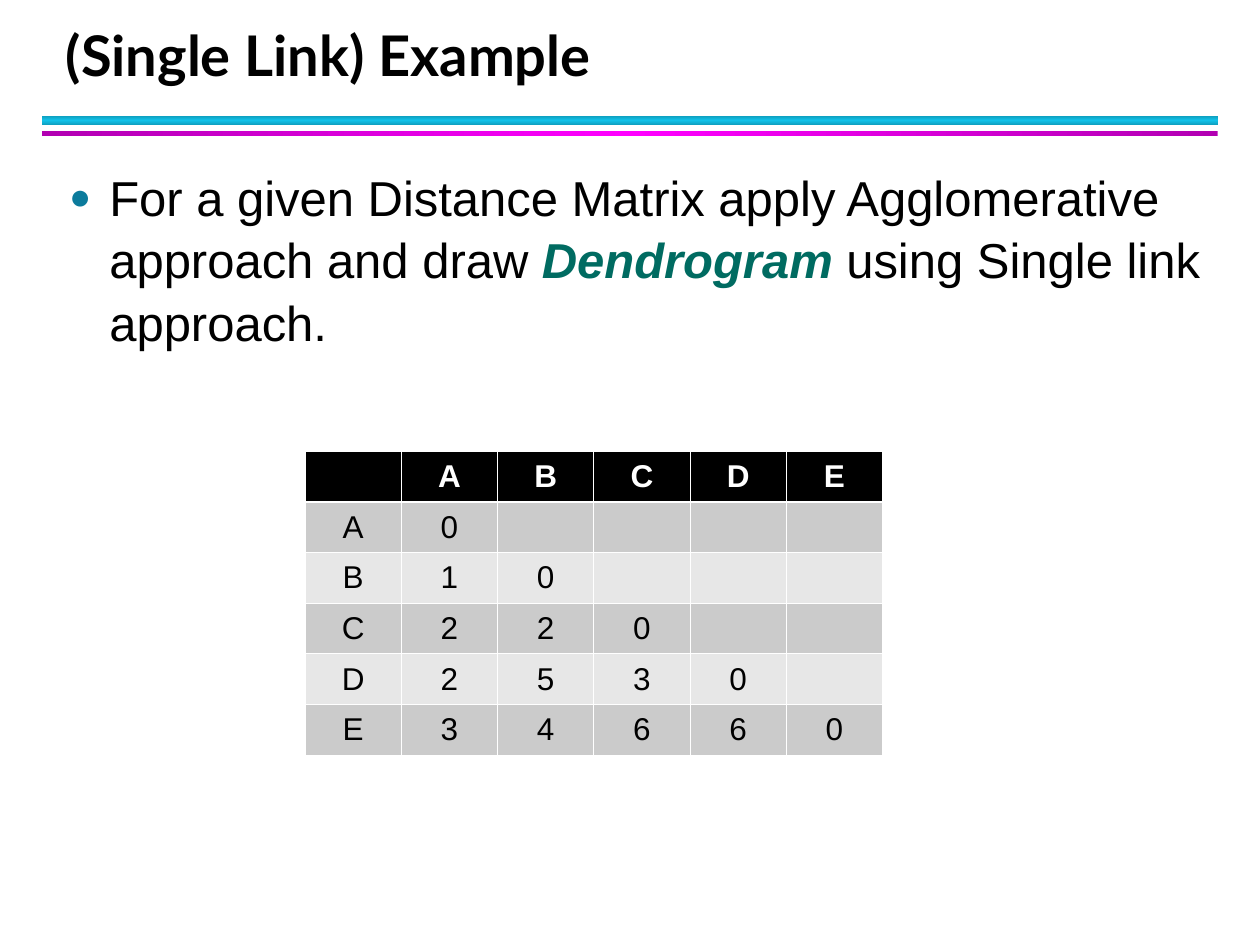
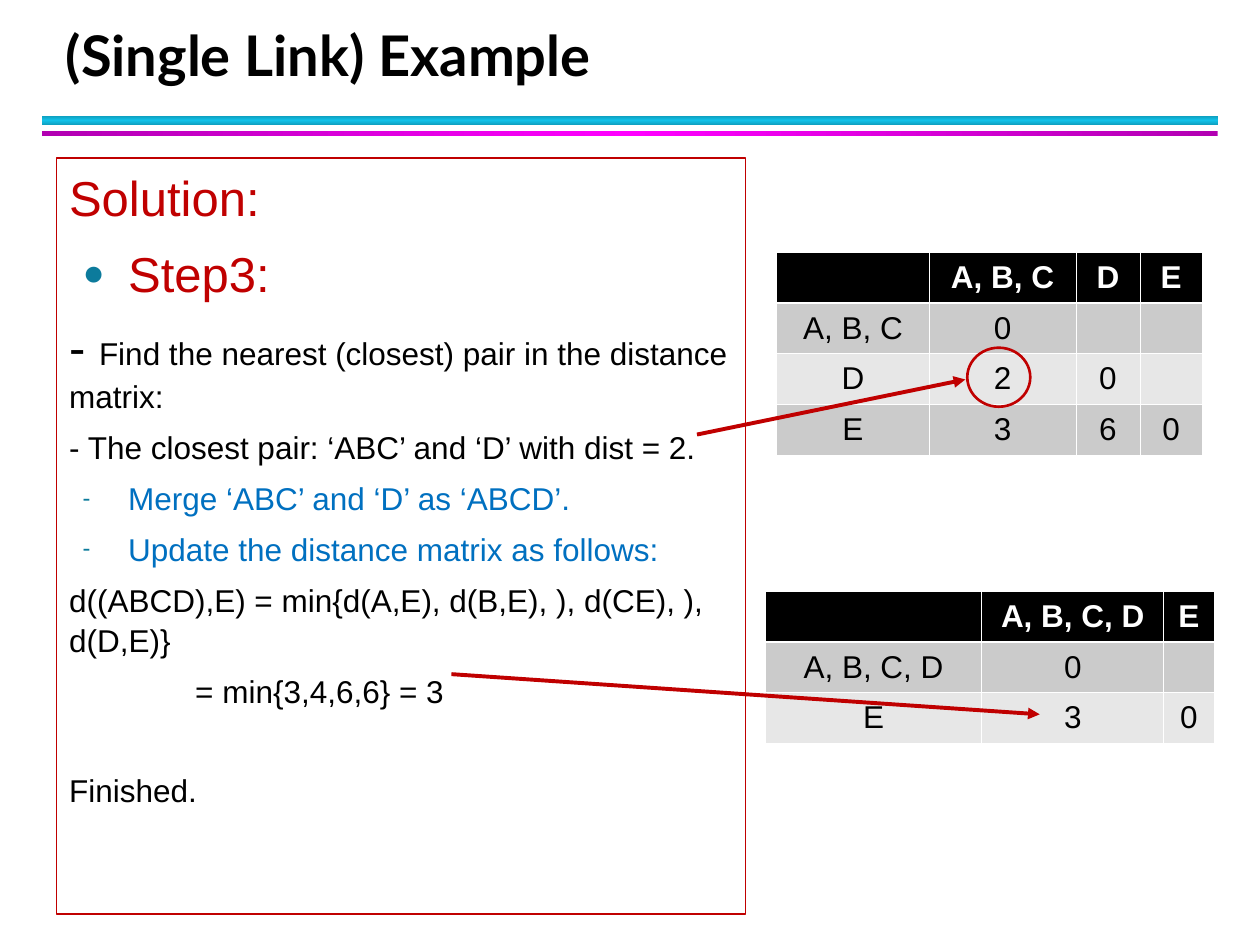
from copy import deepcopy

from lxml import etree
from pptx import Presentation
from pptx.dml.color import RGBColor
from pptx.enum.shapes import MSO_CONNECTOR, MSO_SHAPE
from pptx.enum.text import MSO_ANCHOR, MSO_AUTO_SIZE, PP_ALIGN
from pptx.oxml.ns import qn
from pptx.util import Cm, Pt

RECT, OVAL = MSO_SHAPE.RECTANGLE, MSO_SHAPE.OVAL
STRAIGHT = MSO_CONNECTOR.STRAIGHT
TOP, MIDDLE, BOTTOM = MSO_ANCHOR.TOP, MSO_ANCHOR.MIDDLE, MSO_ANCHOR.BOTTOM
LEFT, CENTER = PP_ALIGN.LEFT, PP_ALIGN.CENTER
NO_FIT = MSO_AUTO_SIZE.NONE

HUES = {
    "black": "000000", "white": "FFFFFF", "red": "C00000", "blue": "0070C0",
    "green": "006B61", "bullet": "0C7B9C", "odd": "CBCBCB", "even": "E7E7E7",
    "teal": "0E9BBA", "cyan": "12C2E9", "plum": "B200B2", "pink": "FF00FF",
}
TITLE = "(Single Link) Example"
ROW = 1.02


def hue(name):
    return RGBColor.from_string(HUES[name])


def style(font, size, color, bold=False, face="Arial"):
    font.name, font.size, font.bold = face, Pt(size), bold
    font.color.rgb = hue(color)


def place(shape, left, top, width, height):
    shape.left, shape.top = Cm(left), Cm(top)
    shape.width, shape.height = Cm(width), Cm(height)


def add_band(slide, top, height, edge, core, angle):
    band = slide.shapes.add_shape(RECT, Cm(0.85), Cm(top), Cm(23.7), Cm(height))
    band.shadow.inherit = False
    band.line.fill.background()
    band.fill.gradient()
    band.fill.gradient_angle = angle
    stops = band._element.spPr.find(".//" + qn("a:gsLst"))
    stops.append(deepcopy(stops[-1]))
    for stop, spot, name in zip(band.fill.gradient_stops, (0, 0.5, 1), (edge, core, edge)):
        stop.position = spot
        stop.color.rgb = hue(name)


def add_page(deck):
    slide = deck.slides.add_slide(deck.slide_layouts[1])
    add_band(slide, 2.33, 0.2, "teal", "cyan", 90)
    add_band(slide, 2.64, 0.1, "plum", "pink", 0)
    title = slide.shapes.title
    place(title, 1.07, 0.43, 23.01, 1.47)
    frame = title.text_frame
    frame.auto_size, frame.vertical_anchor = NO_FIT, BOTTOM
    frame.text = TITLE
    line = frame.paragraphs[0]
    line.alignment, line.line_spacing = LEFT, Pt(36)
    style(line.font, 32, "black", True, "Lato")
    return slide


def get_body(slide, width, height):
    body = slide.placeholders[1]
    place(body, 1.14, 3.18, width, height)
    frame = body.text_frame
    frame.auto_size, frame.vertical_anchor = NO_FIT, TOP
    return body


def set_bullet(para, mark, margin, hang):
    props = para._p.get_or_add_pPr()
    props.set("marL", str(Cm(margin)))
    props.set("indent", str(-Cm(hang)))
    if not mark:
        etree.SubElement(props, qn("a:buNone"))
        return
    color = etree.SubElement(props, qn("a:buClr"))
    etree.SubElement(color, qn("a:srgbClr"), val=HUES["bullet"])
    etree.SubElement(props, qn("a:buSzPct"), val="75000")
    etree.SubElement(props, qn("a:buFont"), typeface="Arial")
    etree.SubElement(props, qn("a:buChar"), char=mark)


def add_para(frame, text, size=18, color="black", mark=None, margin=0, hang=0, before=2.2):
    first = frame.paragraphs[0]
    para = frame.add_paragraph() if first.runs else first
    para.alignment, para.line_spacing = LEFT, 1.06
    para.space_before, para.space_after = Pt(before), Pt(4)
    set_bullet(para, mark, margin, hang)
    style(para.font, size, color)
    para.add_run().text = text
    return para


def set_edge(cell, side, width):
    props = cell._tc.get_or_add_tcPr()
    edge = etree.SubElement(props, qn("a:ln" + side), w=str(Pt(width)))
    fill = etree.SubElement(edge, qn("a:solidFill"))
    etree.SubElement(fill, qn("a:srgbClr"), val=HUES["white"])


def add_matrix(slide, left, top, widths, names, values):
    count = len(names) + 1
    frame = slide.shapes.add_table(
        count, count, Cm(left), Cm(top), Cm(sum(widths)), Cm(ROW * count))
    table = frame.table
    for col, width in zip(table.columns, widths):
        col.width = Cm(width)
    grid = [["", *names]] + [[name, *row] for name, row in zip(names, values)]
    for i, row in enumerate(grid):
        table.rows[i].height = Cm(ROW)
        shade = "black" if i == 0 else "odd" if i % 2 else "even"
        for j in range(count):
            cell = table.cell(i, j)
            for side in "LRTB":
                thick = (i, side) in ((0, "B"), (1, "T"))
                set_edge(cell, side, 1.47 if thick else 0.45)
            cell.fill.solid()
            cell.fill.fore_color.rgb = hue(shade)
            cell.vertical_anchor = MIDDLE
            cell.text = str(row[j]) if j < len(row) else ""
            para = cell.text_frame.paragraphs[0]
            para.alignment = CENTER
            style(para.font, 18, "black" if i else "white", i == 0)


def add_arrow(slide, *ends):
    arrow = slide.shapes.add_connector(STRAIGHT, *map(Cm, ends))
    arrow.line.color.rgb, arrow.line.width = hue("red"), Pt(2.25)
    etree.SubElement(arrow.line._get_or_add_ln(), qn("a:tailEnd"), type="triangle")
    etree.SubElement(arrow._element.spPr, qn("a:effectLst"))


def add_ring(slide, left, top, width, height):
    ring = slide.shapes.add_shape(OVAL, Cm(left), Cm(top), Cm(width), Cm(height))
    ring.shadow.inherit = False
    ring.fill.background()
    ring.line.color.rgb, ring.line.width = hue("red"), Pt(1.5)


def add_task(deck):
    slide = add_page(deck)
    frame = get_body(slide, 23.62, 14.4).text_frame
    para = add_para(
        frame, "For a given Distance Matrix apply Agglomerative approach and draw ",
        28, mark="●", margin=0.81, hang=0.81, before=3.5)
    term = para.add_run()
    term.text = "Dendrogram"
    term.font.bold = term.font.italic = True
    term.font.color.rgb = hue("green")
    para.add_run().text = " using Single link approach."
    add_matrix(slide, 6.15, 9.1, [1.94] * 6, "ABCDE",
               [[0], [1, 0], [2, 2, 0], [2, 5, 3, 0], [3, 4, 6, 6, 0]])


def add_answer(deck):
    slide = add_page(deck)
    body = get_body(slide, 13.89, 15.24)
    body.line.color.rgb, body.line.width = hue("red"), Pt(1)
    frame = body.text_frame
    item = {"margin": 1.19, "hang": 0.92}
    add_para(frame, "Solution:", 28, "red", before=3.5)
    add_para(frame, "Step3:", 28, "red", "●", before=3.5, **item)
    find = add_para(frame, "- ")
    find.runs[0].font.size = Pt(28)
    find.add_run().text = "Find the nearest (closest) pair in the distance matrix:"
    add_para(frame, "- The closest pair: ‘ABC’ and ‘D’ with dist = 2.")
    for text in ("Merge ‘ABC’ and ‘D’ as ‘ABCD’.", "Update the distance matrix as follows:"):
        add_para(frame, text, color="blue", mark="-", **item)
    add_para(frame, "d((ABCD),E) = min{d(A,E), d(B,E), ), d(CE), ), d(D,E)}")
    add_para(frame, "= min{3,4,6,6} = 3", margin=2.54)
    add_para(frame, "Finished.", before=30)

    add_matrix(slide, 15.66, 5.09, [3.07, 2.96, 1.29, 1.26], ["A, B, C", "D", "E"],
               [[0], [2, 0], [3, 6, 0]])
    add_arrow(slide, 14.05, 8.76, 19.46, 7.65)
    add_ring(slide, 19.5, 7.01, 1.27, 1.19)
    add_matrix(slide, 15.43, 11.92, [4.36, 3.67, 1.01], ["A, B, C, D", "E"],
               [[0], [3, 0]])
    add_arrow(slide, 9.1, 13.59, 20.96, 14.4)


def main():
    deck = Presentation()
    deck.slide_width, deck.slide_height = Cm(25.4), Cm(19.05)
    add_task(deck)
    add_answer(deck)
    deck.save("out.pptx")


if __name__ == "__main__":
    main()
